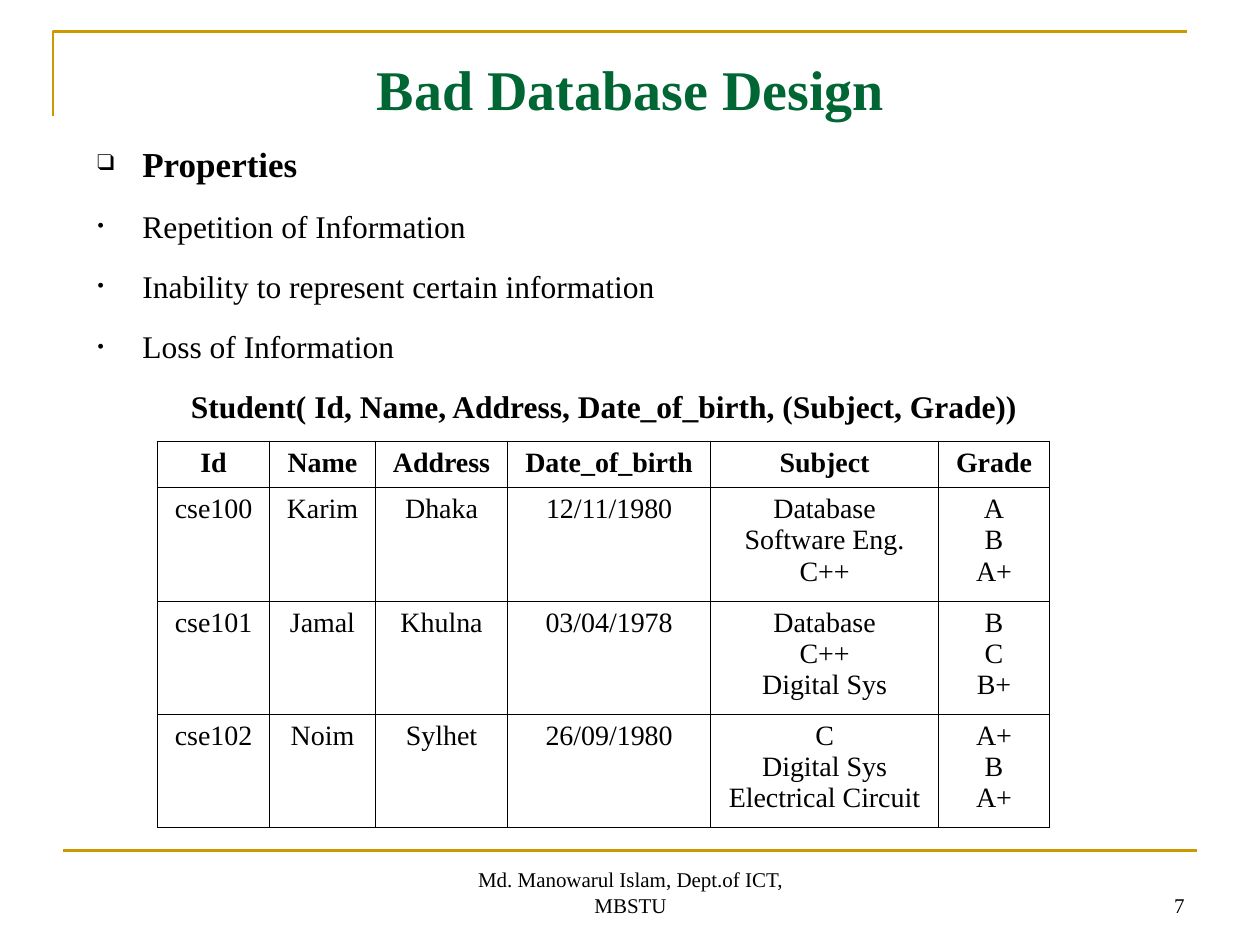
from pptx import Presentation
from pptx.util import Inches, Pt
from pptx.dml.color import RGBColor as Rgb
from pptx.enum.shapes import MSO_CONNECTOR as Conn
from pptx.enum.text import MSO_ANCHOR as Anchor, MSO_AUTO_SIZE as Auto, PP_ALIGN as Align
from pptx.oxml import parse_xml
from pptx.oxml.ns import nsdecls
from lxml.etree import SubElement as Sub

FONT = "Times New Roman"
COLORS = {"gold": "CC9900", "green": "006633", "black": "000000"}
POINTS = [
    ("❑", "Properties", 20, True),
    ("•", "Repetition of Information", 18, False),
    ("•", "Inability to represent certain information", 18, False),
    ("•", "Loss of Information", 18, False),
]
ROWS = [
    ["Id", "Name", "Address", "Date_of_birth", "Subject", "Grade"],
    ["cse100", "Karim", "Dhaka", "12/11/1980", "Database\nSoftware Eng.\nC++", "A\nB\nA+"],
    ["cse101", "Jamal", "Khulna", "03/04/1978", "Database\nC++\nDigital Sys", "B\nC\nB+"],
    ["cse102", "Noim", "Sylhet", "26/09/1980", "C\nDigital Sys\nElectrical Circuit", "A+\nB\nA+"],
]
WIDTHS = [0.89, 0.84, 1.05, 1.61, 1.81, 0.88]
HEIGHTS = [0.37, 0.9, 0.9, 0.9]


def style(para, size, bold=False, color="black", align=Align.CENTER):
    para.alignment = align
    for run in para.runs:
        font = run.font
        font.name, font.size, font.bold = FONT, Pt(size), bold
        font.color.rgb = Rgb.from_string(COLORS[color])


def place(shape, left, top, width, height):
    shape.left, shape.top = Inches(left), Inches(top)
    shape.width, shape.height = Inches(width), Inches(height)


def stroke(shape):
    shape.line.color.rgb = Rgb.from_string(COLORS["gold"])
    shape.line.width = Pt(1.5)


def add_frame(slide):
    path = slide.shapes.build_freeform(Inches(0.42), Inches(0.92))
    path.add_line_segments(
        [(Inches(0.42), Inches(0.25)), (Inches(9.42), Inches(0.25))], close=False)
    edge = path.convert_to_shape()
    edge.fill.background()
    edge.shadow.inherit = False
    stroke(edge)
    rule = slide.shapes.add_connector(
        Conn.STRAIGHT, Inches(0.5), Inches(6.75), Inches(9.5), Inches(6.75))
    stroke(rule)
    rule._element.spPr.append(parse_xml(f"<a:effectLst {nsdecls('a')}/>"))


def add_text(slide, text, area, size, bold=False, align=Align.CENTER, anchor=Anchor.TOP):
    frame = slide.shapes.add_textbox(*map(Inches, area)).text_frame
    frame.word_wrap = True
    frame.vertical_anchor = anchor
    frame.text = text
    style(frame.paragraphs[0], size, bold, align=align)


def set_title(slide, text):
    title = slide.shapes.title
    place(title, 0.67, 0.4, 8.67, 0.6)
    frame = title.text_frame
    frame.auto_size = Auto.NONE
    frame.vertical_anchor = Anchor.MIDDLE
    frame.text = text
    style(frame.paragraphs[0], 32, True, "green")


def add_bullet(para, mark):
    props = para._p.get_or_add_pPr()
    indent = Inches(0.36)
    props.set("marL", str(indent))
    props.set("indent", str(-indent))
    for xml in (
        f'<a:buClr {nsdecls("a")}><a:srgbClr val="{COLORS["black"]}"/></a:buClr>',
        f'<a:buSzPct {nsdecls("a")} val="65000"/>',
        f'<a:buFont {nsdecls("a")} typeface="{FONT}"/>',
        f'<a:buChar {nsdecls("a")} char="{mark}"/>',
    ):
        props.append(parse_xml(xml))


def set_list(slide):
    body = slide.placeholders[1]
    place(body, 0.67, 1.08, 8.67, 1.9)
    frame = body.text_frame
    frame.auto_size = Auto.NONE
    frame.text = "\n".join(text for _, text, _, _ in POINTS)
    for i, (para, (mark, _, size, bold)) in enumerate(zip(frame.paragraphs, POINTS)):
        add_bullet(para, mark)
        para.space_before = Pt(12.8 if i else 0)
        style(para, size, bold, align=Align.LEFT)


def add_border(cell):
    props = cell._tc.get_or_add_tcPr()
    for side in ("L", "R", "T", "B"):
        props.append(parse_xml(
            f'<a:ln{side} {nsdecls("a")} w="{Pt(0.45)}"><a:solidFill>'
            f'<a:srgbClr val="{COLORS["black"]}"/></a:solidFill></a:ln{side}>'))


def add_grid(slide):
    area = (1.25, 3.5, sum(WIDTHS), sum(HEIGHTS))
    grid = slide.shapes.add_table(len(ROWS), len(WIDTHS), *map(Inches, area)).table
    grid.first_row = grid.horz_banding = False
    for col, width in zip(grid.columns, WIDTHS):
        col.width = Inches(width)
    for i, (row, height) in enumerate(zip(grid.rows, HEIGHTS)):
        row.height = Inches(height)
        for cell, text in zip(row.cells, ROWS[i]):
            add_border(cell)
            cell.fill.background()
            cell.text_frame.text = text
            for para in cell.text_frame.paragraphs:
                style(para, 16, i == 0)


def main():
    deck = Presentation()
    deck.slide_width, deck.slide_height = Inches(10), Inches(7.5)
    slide = deck.slides.add_slide(deck.slide_layouts[1])
    add_frame(slide)
    add_text(slide, "Md. Manowarul Islam, Dept.of ICT, MBSTU",
             (3.42, 6.83, 3.17, 0.5), 12, anchor=Anchor.BOTTOM)
    add_text(slide, "7", (7.17, 6.83, 2.33, 0.5), 12,
             align=Align.RIGHT, anchor=Anchor.BOTTOM)
    set_title(slide, "Bad Database Design")
    set_list(slide)
    add_text(slide, "Student( Id, Name, Address, Date_of_birth, (Subject, Grade))",
             (1.38, 3.02, 6.83, 0.4), 18, True)
    add_grid(slide)
    deck.save("out.pptx")


if __name__ == "__main__":
    main()
